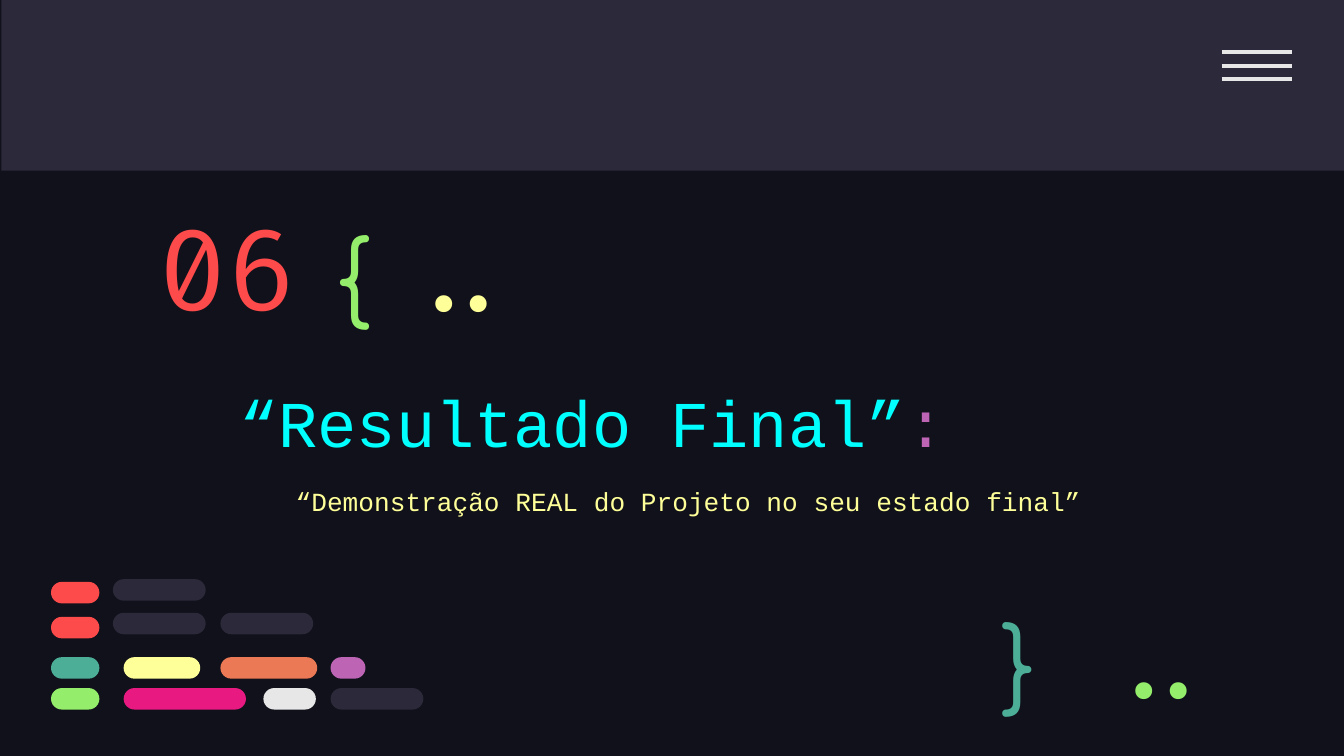
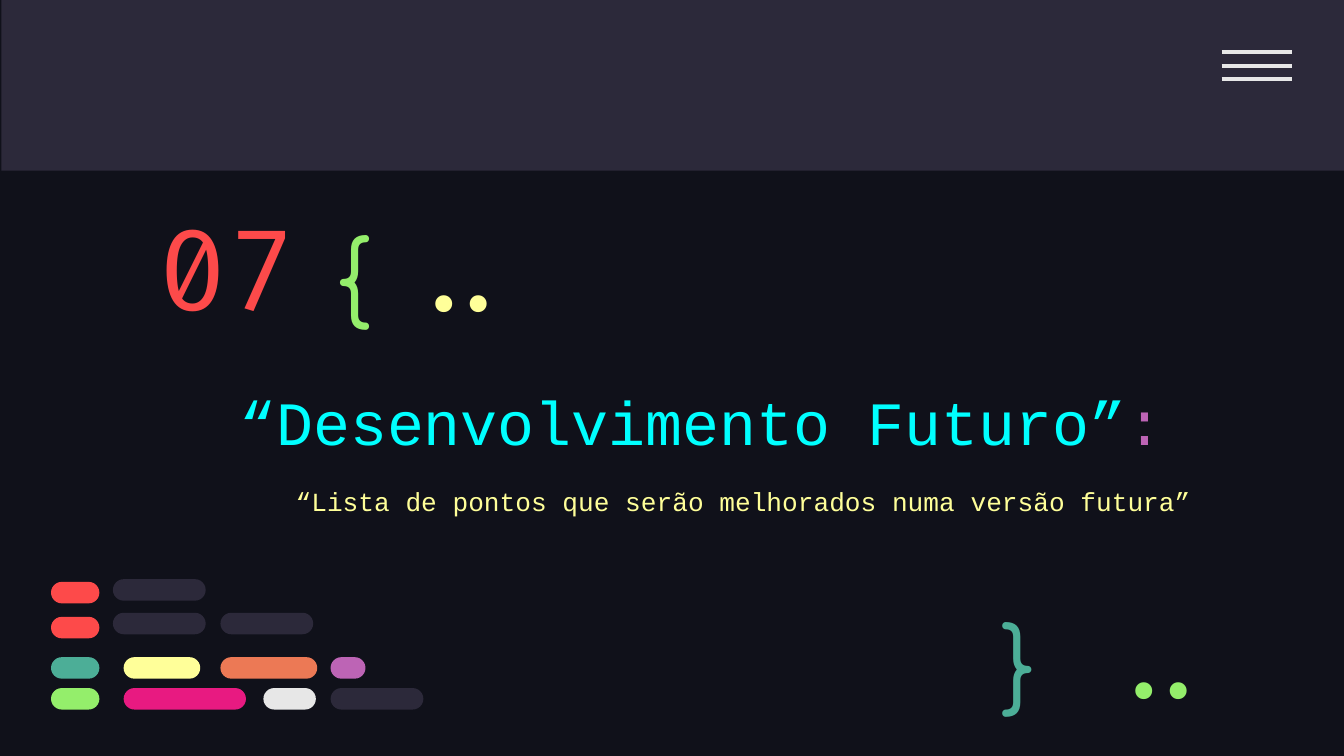
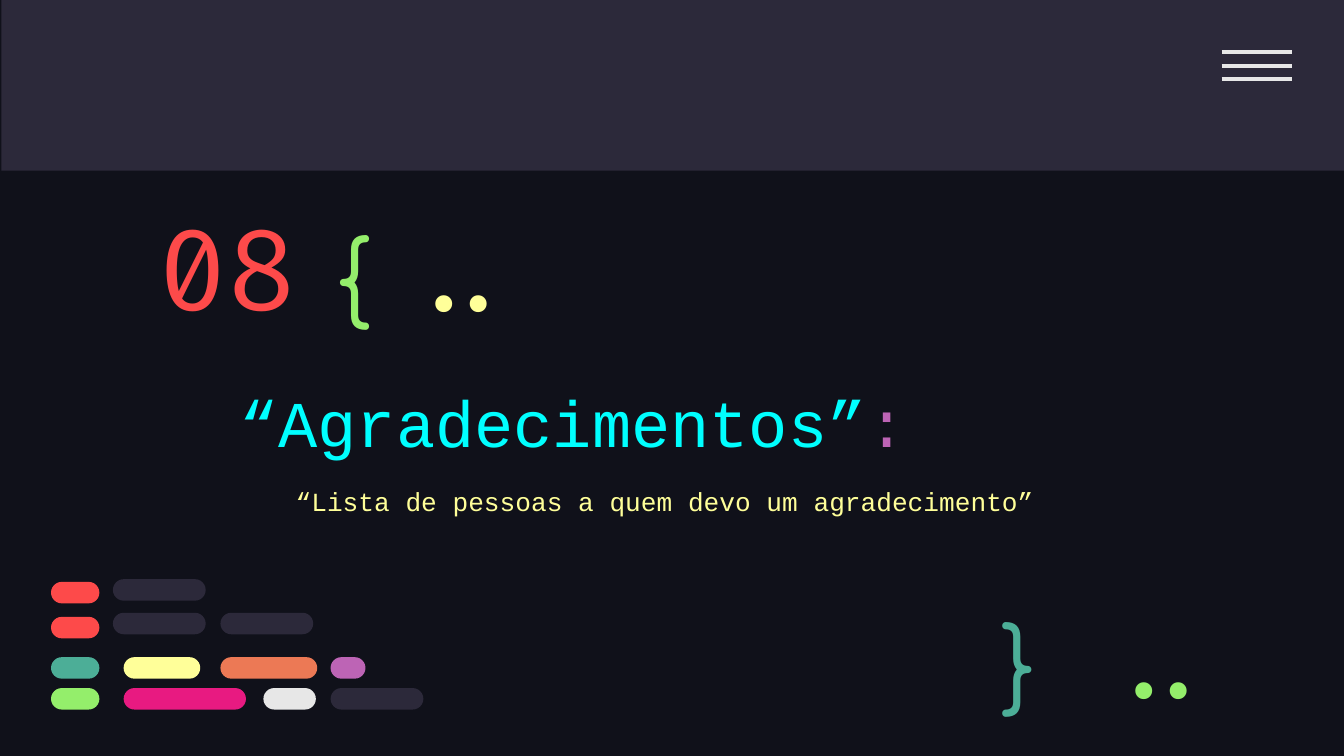
from dataclasses import dataclass
from typing import Optional

import pptx
import pptx.dml.color
import pptx.enum.shapes
import pptx.enum.text
import pptx.oxml
import pptx.shapes.base
import pptx.slide
import pptx.util

Inches = pptx.util.Inches
RGBColor = pptx.dml.color.RGBColor
ALIGN = pptx.enum.text.PP_ALIGN
ANCHOR = pptx.enum.text.MSO_ANCHOR
SHAPE = pptx.enum.shapes.MSO_SHAPE

# Widescreen page, 16:9
PAGE_WIDTH = Inches(10)
PAGE_HEIGHT = Inches(10 * 9 / 16)

# Colours and fonts
NIGHT = RGBColor(0x10, 0x11, 0x1A)
SLATE = RGBColor(0x2C, 0x29, 0x3A)
WHITE = RGBColor(0xE7, 0xE7, 0xE7)
RED = RGBColor(0xFD, 0x4A, 0x4A)
CYAN = RGBColor(0x00, 0xFF, 0xFF)
PURPLE = RGBColor(0xBD, 0x64, 0xB5)
YELLOW = RGBColor(0xFF, 0xFF, 0x99)
GREEN = RGBColor(0x94, 0xEE, 0x6B)
TEAL = RGBColor(0x4C, 0xAE, 0x97)
ORANGE = RGBColor(0xEC, 0x79, 0x55)
PINK = RGBColor(0xE8, 0x1A, 0x81)

CODE_FONT = "Courier New"
NUMBER_FONT = "Fira Code"
BRACE_FONT = "Comfortaa"


@dataclass(frozen=True)
class Section:
    number: str
    title: str
    subtitle: str
    title_size: int = 35
    subtitle_width: float = 6.61


@dataclass(frozen=True)
class Label:
    left: float
    top: float
    width: float
    height: float
    size: int
    font: str
    color: RGBColor
    align: ALIGN = ALIGN.LEFT
    anchor: ANCHOR = ANCHOR.TOP
    line_spacing: float = 1.0


@dataclass(frozen=True)
class Pill:
    left: float
    top: float
    width: float
    color: RGBColor


SECTIONS = [
    Section("06", "“Resultado Final”", "“Demonstração REAL do Projeto no seu estado final”"),
    Section("07", "“Desenvolvimento Futuro”",
            "“Lista de pontos que serão melhorados numa versão futura”", 33, 6.89),
    Section("08", "“Agradecimentos”", "“Lista de pessoas a quem devo um agradecimento”"),
]

NUMBER = Label(1.08, 1.48, 1.81, 1, 60, NUMBER_FONT, RED, anchor=ANCHOR.MIDDLE)

# Braces and dots around the section title
CODE_MARKS = [
    ("{", Label(2.4, 1.5, 0.77, 0.95, 50, BRACE_FONT, GREEN)),
    ("}", Label(7.35, 4.38, 0.57, 0.83, 50, BRACE_FONT, TEAL)),
    ("..", Label(8.1, 4.62, 1.07, 0.6, 50, NUMBER_FONT, GREEN, ALIGN.RIGHT, ANCHOR.MIDDLE)),
    ("..", Label(2.89, 1.74, 1.07, 0.6, 50, NUMBER_FONT, YELLOW, ALIGN.RIGHT, ANCHOR.MIDDLE)),
]

# Abstract lines of code, bottom left
PILL_HEIGHT = 0.16
PILLS = [
    Pill(0.38, 4.33, 0.36, RED),
    Pill(0.38, 4.59, 0.36, RED),
    Pill(0.38, 4.89, 0.36, TEAL),
    Pill(0.92, 4.89, 0.57, YELLOW),
    Pill(1.64, 4.89, 0.72, ORANGE),
    Pill(2.46, 4.89, 0.26, PURPLE),
    Pill(0.38, 5.12, 0.36, GREEN),
    Pill(0.92, 5.12, 0.91, PINK),
    Pill(1.96, 5.12, 0.39, WHITE),
    Pill(2.46, 5.12, 0.69, SLATE),
    Pill(0.84, 4.56, 0.69, SLATE),
    Pill(0.84, 4.31, 0.69, SLATE),
    Pill(1.64, 4.56, 0.69, SLATE),
]


def paint(shape: pptx.shapes.base.BaseShape, color: RGBColor) -> None:
    """Give a shape a flat fill without line or shadow."""
    shape.shadow.inherit = False
    shape.fill.solid()
    shape.fill.fore_color.rgb = color
    shape.line.fill.background()


def write_label(page: pptx.slide.Slide, text: str, label: Label,
                box: Optional[pptx.shapes.base.BaseShape] = None) -> None:
    """Write text in a placeholder, or in a new text box if none is given."""
    place = [Inches(n) for n in (label.left, label.top, label.width, label.height)]
    if box is None:
        box = page.shapes.add_textbox(*place)
    box.left, box.top, box.width, box.height = place
    frame = box.text_frame
    frame.word_wrap = True
    frame.auto_size = pptx.enum.text.MSO_AUTO_SIZE.NONE
    frame.vertical_anchor = label.anchor
    frame.margin_left = frame.margin_right = Inches(0.1)
    frame.margin_top = frame.margin_bottom = Inches(0.1)
    para = frame.paragraphs[0]
    para.text = text
    para.alignment = label.align
    para.line_spacing = label.line_spacing
    para.space_before = pptx.util.Pt(0)
    para.font.name = label.font
    para.font.size = pptx.util.Pt(label.size)
    para.font.color.rgb = label.color


def draw_header(page: pptx.slide.Slide) -> None:
    """Draw the top band with its three-line menu icon."""
    band = page.shapes.add_shape(SHAPE.RECTANGLE, Inches(0.01), 0, PAGE_WIDTH, Inches(1.27))
    paint(band, SLATE)
    menu = page.shapes.add_group_shape()
    for row in range(3):
        height = Inches(0.39 + 0.1 * row)
        bar = menu.shapes.add_connector(pptx.enum.shapes.MSO_CONNECTOR.STRAIGHT,
                                        Inches(9.09), height, Inches(9.61), height)
        bar.line.color.rgb = WHITE
        bar.line.width = pptx.util.Pt(2.25)
        bar._element.spPr.append(pptx.oxml.parse_xml(
            '<a:effectLst xmlns:a="http://schemas.openxmlformats.org/drawingml/2006/main"/>'))


def draw_pills(page: pptx.slide.Slide) -> None:
    """Draw the group of coloured code lines."""
    group = page.shapes.add_group_shape()
    for pill in PILLS:
        shape = group.shapes.add_shape(SHAPE.ROUNDED_RECTANGLE, Inches(pill.left),
                                       Inches(pill.top), Inches(pill.width), Inches(PILL_HEIGHT))
        shape.adjustments[0] = 0.5
        paint(shape, pill.color)


def add_section(deck: pptx.presentation.Presentation, section: Section) -> None:
    """Add one section opener."""
    page = deck.slides.add_slide(deck.slide_layouts[0])
    draw_header(page)

    # Title with its closing colon
    title = page.shapes.title
    write_label(page, section.title,
                Label(1.68, 2.48, 7.26, 1.31, section.title_size, CODE_FONT, CYAN,
                      anchor=ANCHOR.MIDDLE), title)
    colon = title.text_frame.paragraphs[0].add_run()
    colon.text = ":"
    colon.font.color.rgb = PURPLE

    write_label(page, section.number, NUMBER)
    write_label(page, section.subtitle,
                Label(2.1, 3.48, section.subtitle_width, 0.31, 14, CODE_FONT, YELLOW,
                      line_spacing=1.15), page.placeholders[1])
    for text, label in CODE_MARKS:
        write_label(page, text, label)
    draw_pills(page)


def main() -> None:
    deck = pptx.Presentation()
    deck.slide_width, deck.slide_height = PAGE_WIDTH, PAGE_HEIGHT
    backdrop = deck.slide_master.background.fill
    backdrop.solid()
    backdrop.fore_color.rgb = NIGHT
    for section in SECTIONS:
        add_section(deck, section)
    deck.save("out.pptx")


if __name__ == "__main__":
    main()
